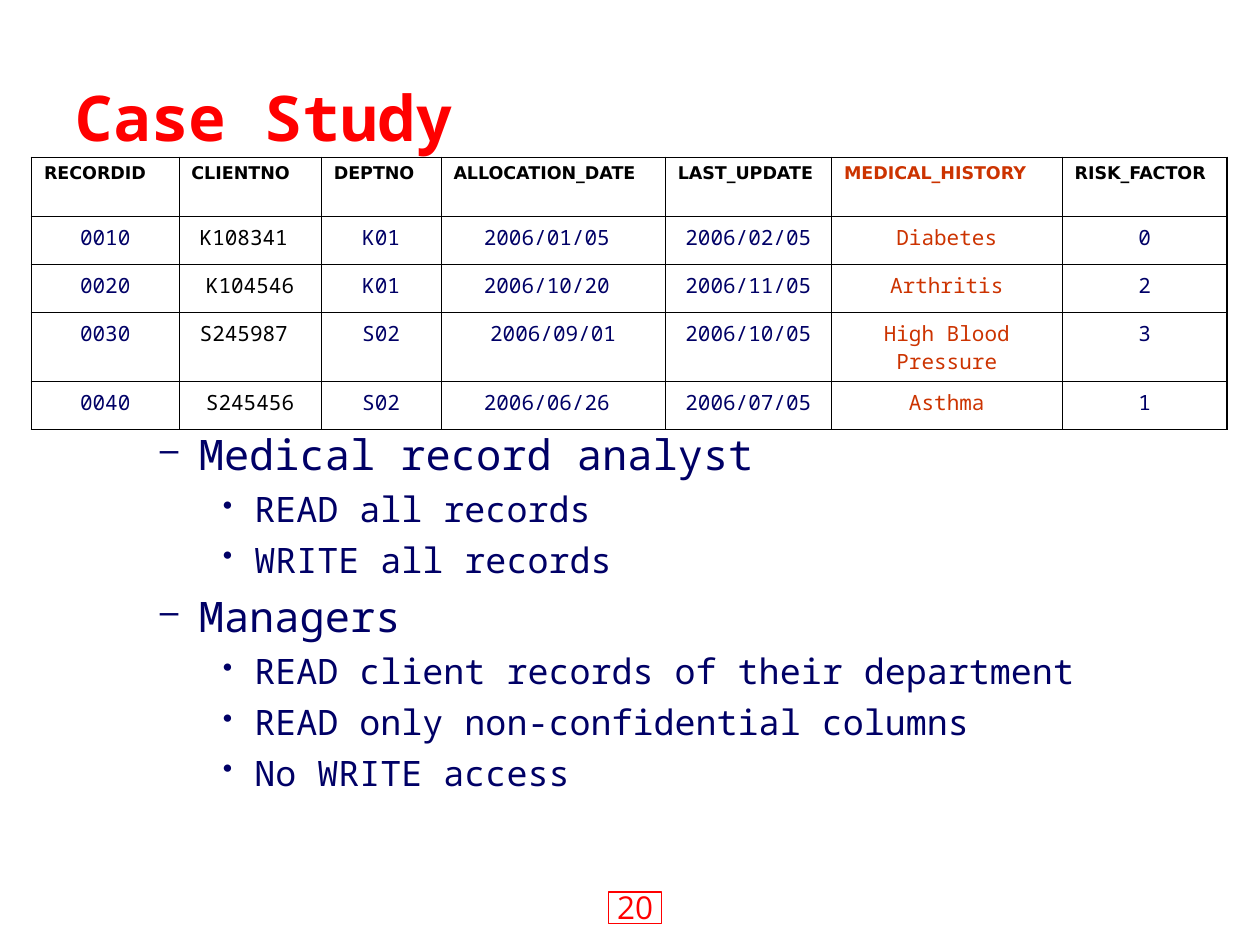
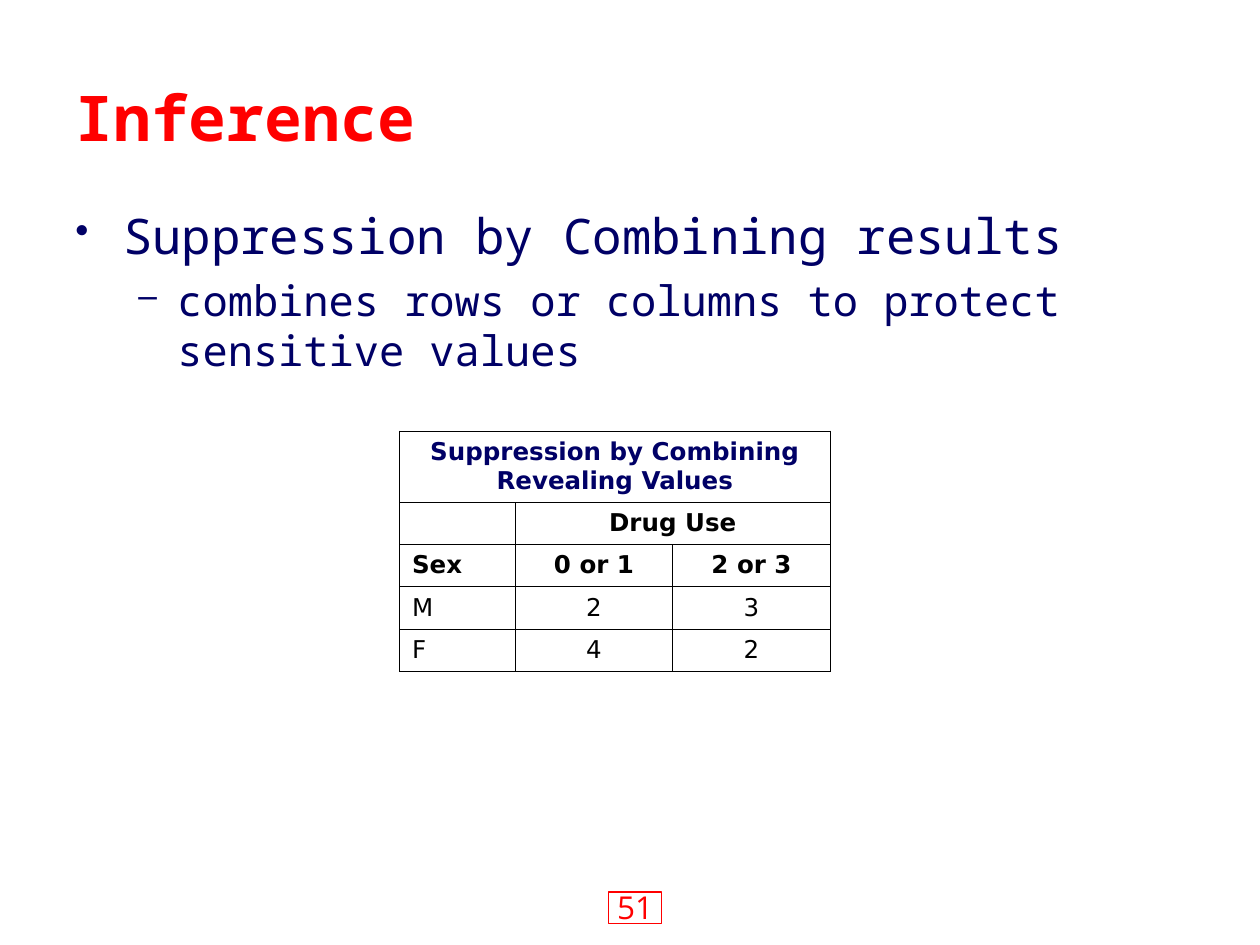
from pptx import Presentation
from pptx.dml.color import RGBColor
from pptx.enum.shapes import MSO_SHAPE
from pptx.enum.text import MSO_ANCHOR, PP_ALIGN
from pptx.oxml.ns import qn
from pptx.util import Inches, Pt
from lxml.etree import SubElement

COLORS = {"red": "FF0000", "navy": "000066", "rust": "CC3300", "black": "000000"}
MONO, TABLE_SANS, FOOTER_SANS = "Noto Sans Mono", "DejaVu Sans", "Open Sans"
THIN, THICK = 0.45, 1.08

# Outline levels: bullet, indent, hanging, size, space before
LEVELS = [("•", 0.38, 0.38, 28, 7), ("–", 0.81, 0.31, 24, 6), ("•", 1.25, 0.25, 20, 5)]

RECORDS = [
    ["RECORDID", "CLIENTNO", "DEPTNO", "ALLOCATION_DATE", "LAST_UPDATE",
     "MEDICAL_HISTORY", "RISK_FACTOR"],
    ["0010", "K108341 ", "K01", "2006/01/05 ", "2006/02/05", "Diabetes", "0"],
    ["0020", "K104546", "K01", "2006/10/20 ", "2006/11/05", "Arthritis", "2"],
    ["0030", "S245987 ", "S02", "2006/09/01", "2006/10/05", "High Blood Pressure", "3"],
    ["0040", "S245456", "S02", "2006/06/26 ", "2006/07/05", "Asthma", "1"],
]
ACCESS_RULES = [
    (1, "Medical record analyst"),
    (2, "READ all records"),
    (2, "WRITE all records"),
    (1, "Managers"),
    (2, "READ client records of their department"),
    (2, "READ only non-confidential columns"),
    (2, "No WRITE access"),
]
SUPPRESSION = [
    (0, "Suppression by Combining results"),
    (1, "combines rows or columns to protect sensitive values"),
]
DRUG_USE = [
    ["Suppression by Combining Revealing Values", "", ""],
    ["", "Drug Use", ""],
    ["Sex", "0 or 1", "2 or 3"],
    ["M", "2", "3"],
    ["F", "4", "2"],
]


def rgb(color):
    return RGBColor.from_string(COLORS[color])


def set_font(paragraph, name, size, color, bold=False):
    font = paragraph.font
    font.name, font.size, font.bold = name, Pt(size), bold
    font.color.rgb = rgb(color)


def add_page(deck, title, number):
    """Start a slide with its title and boxed page number."""
    page = deck.slides.add_slide(deck.slide_layouts[5])
    heading = page.shapes.title
    heading.left, heading.top = Inches(0.5), Inches(0.3)
    heading.width, heading.height = Inches(9), Inches(1.25)
    heading.text_frame.text = title
    heading.text_frame.vertical_anchor = MSO_ANCHOR.MIDDLE
    paragraph = heading.text_frame.paragraphs[0]
    paragraph.alignment = PP_ALIGN.LEFT
    set_font(paragraph, MONO, 36, "red", True)
    add_page_number(page, number, 4.58, 7)
    return page


def add_page_number(page, number, left, top):
    box = page.shapes.add_textbox(Inches(left), Inches(top), Inches(0.92), Inches(0.44))
    box.text_frame.word_wrap = True
    paragraph = box.text_frame.paragraphs[0]
    paragraph.text = str(number)
    paragraph.alignment = PP_ALIGN.CENTER
    set_font(paragraph, FOOTER_SANS, 18, "red")
    frame = page.shapes.add_shape(MSO_SHAPE.RECTANGLE, Inches(left + 0.25),
                                  Inches(top + 0.08), Inches(0.42), Inches(0.25))
    frame.shadow.inherit = False
    frame.fill.background()
    frame.line.color.rgb = rgb("red")
    frame.line.width = Pt(0.75)


def add_outline(page, items, left, top, width, height):
    """Bulleted text whose look follows the level of each item."""
    box = page.shapes.add_textbox(Inches(left), Inches(top), Inches(width), Inches(height))
    text = box.text_frame
    text.word_wrap = True
    for index, (level, words) in enumerate(items):
        paragraph = text.add_paragraph() if index else text.paragraphs[0]
        bullet, indent, hanging, size, before = LEVELS[level]
        paragraph.text = words
        paragraph.level = level
        if index:
            paragraph.space_before = Pt(before)
        properties = paragraph._p.get_or_add_pPr()
        properties.set("marL", str(Inches(indent)))
        properties.set("indent", str(-Inches(hanging)))
        bullet_color = SubElement(properties, qn("a:buClr"))
        SubElement(bullet_color, qn("a:srgbClr"), val=COLORS["navy"])
        SubElement(properties, qn("a:buSzPct"), val="80000")
        SubElement(properties, qn("a:buChar"), char=bullet)
        set_font(paragraph, MONO, size, "navy")


def set_borders(cell, widths):
    """Draw the left, right, top and bottom borders, in that order."""
    properties = cell._tc.get_or_add_tcPr()
    for position, (side, width) in enumerate(zip("LRTB", widths)):
        line = properties.makeelement(qn(f"a:ln{side}"), {"w": str(Pt(width))})
        fill = SubElement(line, qn("a:solidFill"))
        SubElement(fill, qn("a:srgbClr"), val=COLORS["black"])
        properties.insert(position, line)


def add_grid(page, rows, left, top, widths, heights, style, outer=THIN):
    """Plain ruled table; style(row, column) gives alignment and font."""
    last_row, last_column = len(rows) - 1, len(widths) - 1
    table = page.shapes.add_table(len(rows), len(widths), Inches(left), Inches(top),
                                  Inches(sum(widths)), Inches(sum(heights))).table
    table.first_row = table.horz_banding = False
    for column, width in zip(table.columns, widths):
        column.width = Inches(width)
    for row, height in zip(table.rows, heights):
        row.height = Inches(height)
    for i, values in enumerate(rows):
        for j, value in enumerate(values):
            cell = table.cell(i, j)
            cell.fill.background()
            edges = (j == 0, j == last_column, i == 0, i == last_row)
            set_borders(cell, [outer if edge else THIN for edge in edges])
            paragraph = cell.text_frame.paragraphs[0]
            alignment, *font = style(i, j)
            if value:
                paragraph.text = value
            else:
                # Keeps an empty cell from stretching its row
                SubElement(paragraph._p, qn("a:endParaRPr"), sz=str(font[1] * 100))
            paragraph.alignment = alignment
            set_font(paragraph, *font)
    return table


def record_style(row, column):
    color = "rust" if column == 5 else "black" if row == 0 or column == 1 else "navy"
    if row == 0:
        return PP_ALIGN.LEFT, TABLE_SANS, 10, color, True
    return PP_ALIGN.CENTER, MONO, 12, color, False


def drug_use_style(row, column):
    alignment = PP_ALIGN.LEFT if row and column == 0 else PP_ALIGN.CENTER
    return alignment, TABLE_SANS, 14, "black" if row else "navy", row < 3


def add_case_study(deck):
    page = add_page(deck, "Case Study", 20)
    add_grid(page, RECORDS, 0.25, 1.25, [1.17, 1.13, 0.95, 1.78, 1.32, 1.83, 1.31],
             [0.47, 0.38, 0.38, 0.55, 0.38], record_style, THICK)
    add_outline(page, ACCESS_RULES, 0.67, 3.35, 9, 3.15)


def add_inference(deck):
    page = add_page(deck, "Inference", 51)
    add_outline(page, SUPPRESSION, 0.5, 1.58, 9, 1.6)
    table = add_grid(page, DRUG_USE, 3.17, 3.42, [0.92, 1.25, 1.25],
                     [0.57] + [0.33] * 4, drug_use_style)
    table.cell(0, 0).merge(table.cell(0, 2))
    table.cell(0, 0).vertical_anchor = MSO_ANCHOR.MIDDLE
    table.cell(1, 1).merge(table.cell(1, 2))


def main():
    deck = Presentation()
    deck.slide_width, deck.slide_height = Inches(10), Inches(7.5)
    add_case_study(deck)
    add_inference(deck)
    deck.save("out.pptx")


if __name__ == "__main__":
    main()
